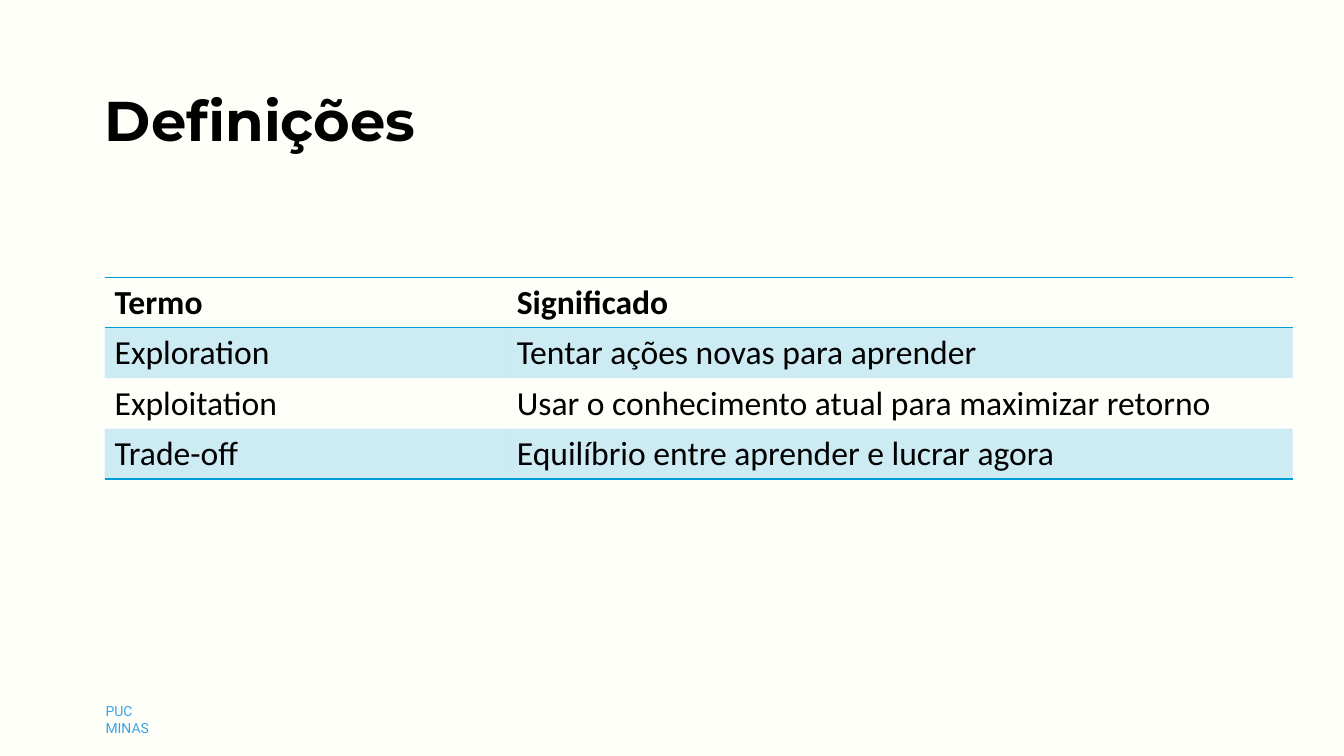
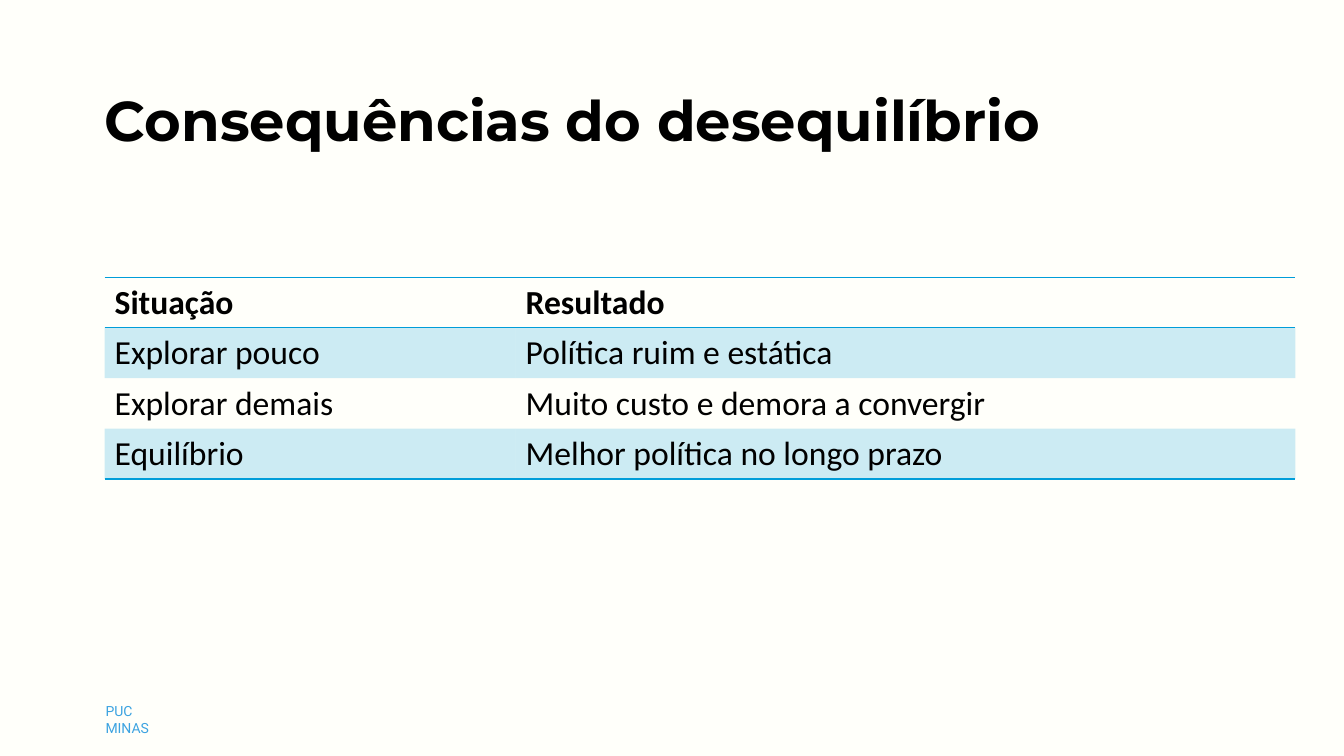
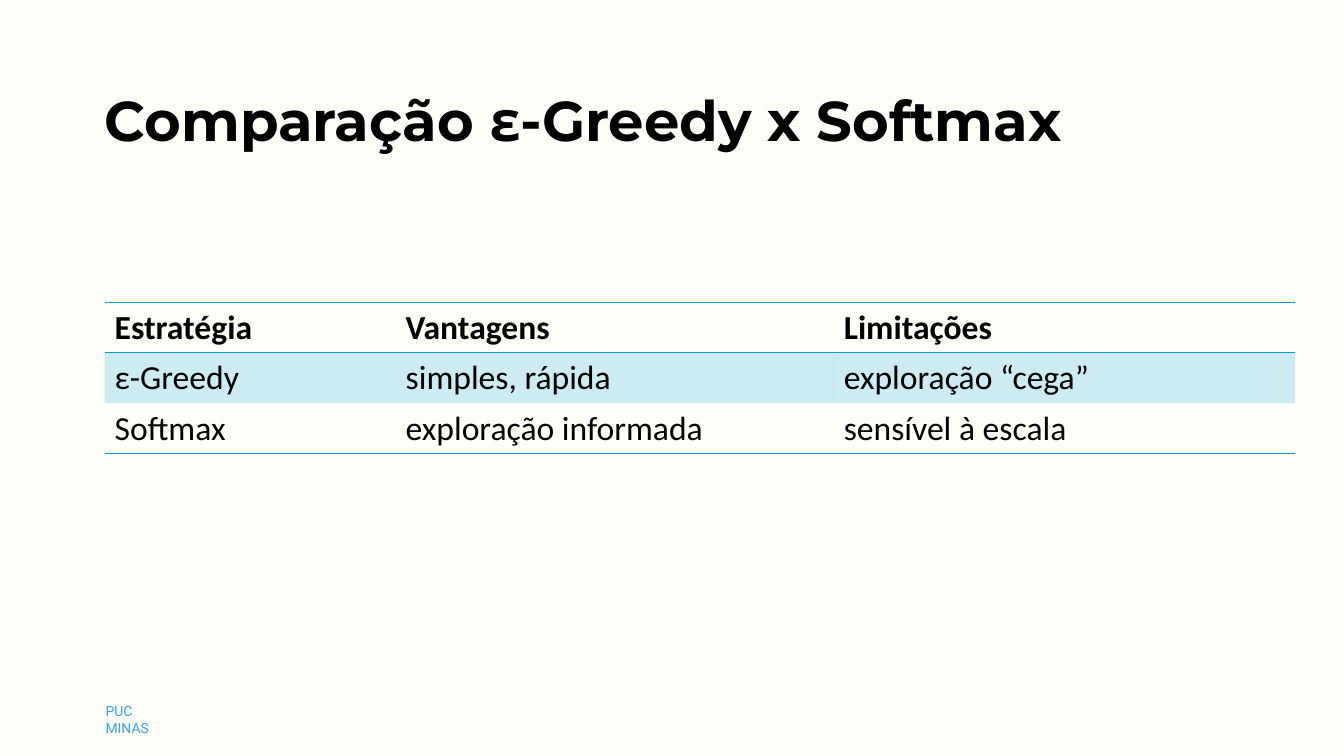
from lxml import etree
from pptx import Presentation
from pptx.dml.color import RGBColor
from pptx.enum import text
from pptx.oxml import ns
from pptx.util import Pt

COLORS = {"paper": "FFFFFA", "ink": "000000", "accent": "009DD9", "footer": "3CA3E1"}
STYLES = {
    "title": {"name": "Montserrat", "size": Pt(40), "bold": True, "color": "ink"},
    "footer": {"name": "Roboto", "size": Pt(10), "bold": False, "color": "footer"},
    "header": {"name": "Calibri", "size": Pt(24), "bold": True, "color": "ink"},
    "body": {"name": "Calibri", "size": Pt(24), "bold": False, "color": "ink"},
}
NO_TABLE_STYLE = "{2D5ABB26-0587-4C30-8999-92F81FD0307C}"
ROW_HEIGHT = 36
TABLE_LEFT = 74.7
TABLE_MIDDLE = 270


class Deck:
    def __init__(self):
        self.prs = Presentation()
        self.prs.slide_width, self.prs.slide_height = Pt(960), Pt(540)
        paper = self.prs.slide_master.background.fill
        paper.solid()
        paper.fore_color.rgb = self.color("paper")
        self.slide = None

    def color(self, key):
        return RGBColor.from_string(COLORS[key])

    def put_text(self, frame, wording, style):
        paragraph = frame.paragraphs[0]
        paragraph.alignment = text.PP_ALIGN.LEFT
        run = paragraph.add_run()
        run.text = wording
        for key, value in STYLES[style].items():
            if key == "color":
                run.font.color.rgb = self.color(value)
            else:
                setattr(run.font, key, value)

    def place(self, shape, left, top, width, height):
        box = {"left": left, "top": top, "width": width, "height": height}
        for key, value in box.items():
            setattr(shape, key, Pt(value))

    def add_slide(self, wording):
        self.slide = self.prs.slides.add_slide(self.prs.slide_layouts[5])
        self.footer("PUC MINAS")
        self.title(wording)

    def title(self, wording):
        title = self.slide.shapes.title
        self.place(title, 67.7, 57.6, 836, 55.4)
        frame = title.text_frame
        frame.auto_size = text.MSO_AUTO_SIZE.NONE
        frame.vertical_anchor = text.MSO_ANCHOR.TOP
        self.put_text(frame, wording, "title")

    def footer(self, wording):
        footer = self.slide.shapes.add_textbox(Pt(75.4), Pt(502), Pt(47.5), Pt(24))
        frame = footer.text_frame
        frame.word_wrap = True
        for side in ("left", "top", "right", "bottom"):
            setattr(frame, f"margin_{side}", 0)
        self.put_text(frame, wording, "footer")

    def border(self, cell, side):
        props = cell._tc.get_or_add_tcPr()
        line = etree.SubElement(props, ns.qn(f"a:ln{side}"), w=str(Pt(1)))
        solid = etree.SubElement(line, ns.qn("a:solidFill"))
        etree.SubElement(solid, ns.qn("a:srgbClr"), val=COLORS["accent"])

    def tint(self, cell):
        cell.fill.solid()
        cell.fill.fore_color.rgb = self.color("accent")
        color = cell._tc.tcPr.find(ns.qn("a:solidFill"))[0]
        etree.SubElement(color, ns.qn("a:alpha"), val="20000")

    def table(self, widths, rows):
        height = ROW_HEIGHT * len(rows)
        frame = self.slide.shapes.add_table(
            len(rows), len(widths), Pt(TABLE_LEFT), Pt(TABLE_MIDDLE - height / 2),
            Pt(sum(widths)), Pt(height))
        table = frame.table
        table._tbl.tblPr.find(ns.qn("a:tableStyleId")).text = NO_TABLE_STYLE
        for column, width in zip(table.columns, widths):
            column.width = Pt(width)
        for r, row in enumerate(rows):
            table.rows[r].height = Pt(ROW_HEIGHT)
            sides = {0: "TB", len(rows) - 1: "B"}.get(r, "")
            for c, wording in enumerate(row):
                cell = table.cell(r, c)
                cell.vertical_anchor = text.MSO_ANCHOR.MIDDLE
                self.put_text(cell.text_frame, wording, "body" if r else "header")
                for side in sides:
                    self.border(cell, side)
                if r % 2:
                    self.tint(cell)
                else:
                    cell.fill.background()


SLIDES = [
    ("Definições", (287.3, 561.3), [
        ("Termo", "Significado"),
        ("Exploration", "Tentar ações novas para aprender"),
        ("Exploitation", "Usar o conhecimento atual para maximizar retorno"),
        ("Trade-off", "Equilíbrio entre aprender e lucrar agora"),
    ]),
    ("Consequências do desequilíbrio", (293.6, 557), [
        ("Situação", "Resultado"),
        ("Explorar pouco", "Política ruim e estática"),
        ("Explorar demais", "Muito custo e demora a convergir"),
        ("Equilíbrio", "Melhor política no longo prazo"),
    ]),
    ("Comparação ε-Greedy x Softmax", (207.9, 313, 329.6), [
        ("Estratégia", "Vantagens", "Limitações"),
        ("ε-Greedy", "simples, rápida", "exploração “cega”"),
        ("Softmax", "exploração informada", "sensível à escala"),
    ]),
]


def main():
    deck = Deck()
    for heading, widths, rows in SLIDES:
        deck.add_slide(heading)
        deck.table(widths, rows)
    deck.prs.save("out.pptx")


if __name__ == "__main__":
    main()
